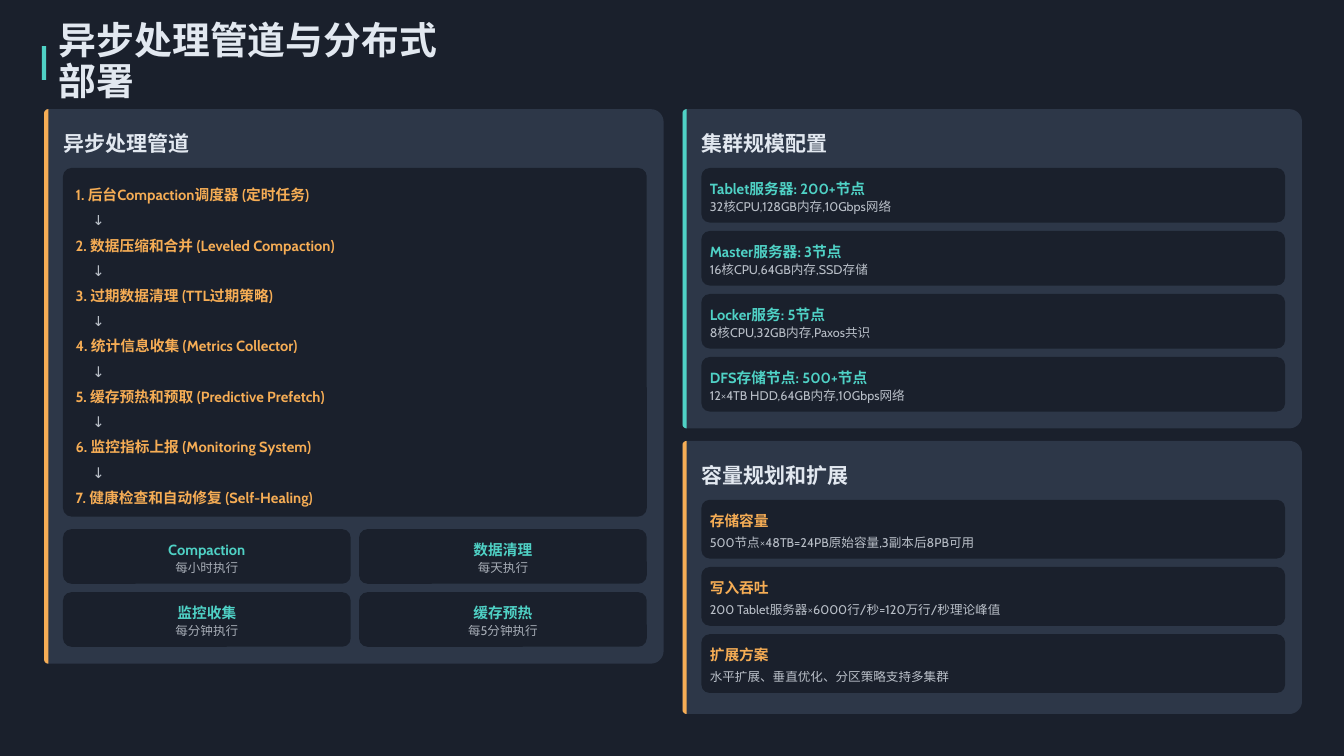
from math import cos, radians, sin

from lxml.etree import SubElement
from pptx import Presentation
from pptx.dml.color import RGBColor
from pptx.enum.shapes import MSO_SHAPE as SHAPE
from pptx.enum.text import MSO_ANCHOR as ANCHOR, MSO_AUTO_SIZE as AUTO, PP_ALIGN as ALIGN
from pptx.oxml.ns import qn
from pptx.util import Pt

STEPS = [
    "后台Compaction调度器 (定时任务)",
    "数据压缩和合并 (Leveled Compaction)",
    "过期数据清理 (TTL过期策略)",
    "统计信息收集 (Metrics Collector)",
    "缓存预热和预取 (Predictive Prefetch)",
    "监控指标上报 (Monitoring System)",
    "健康检查和自动修复 (Self-Healing)",
]
JOBS = [
    ("Compaction", "每小时执行"),
    ("数据清理", "每天执行"),
    ("监控收集", "每分钟执行"),
    ("缓存预热", "每5分钟执行"),
]
CLUSTER = [
    ("Tablet服务器: 200+节点", "32核CPU,128GB内存,10Gbps网络"),
    ("Master服务器: 3节点", "16核CPU,64GB内存,SSD存储"),
    ("Locker服务: 5节点", "8核CPU,32GB内存,Paxos共识"),
    ("DFS存储节点: 500+节点", "12×4TB HDD,64GB内存,10Gbps网络"),
]
CAPACITY = [
    ("存储容量", "500节点×48TB=24PB原始容量,3副本后8PB可用"),
    ("写入吞吐", "200 Tablet服务器×6000行/秒=120万行/秒理论峰值"),
    ("扩展方案", "水平扩展、垂直优化、分区策略支持多集群"),
]


def rgb(color):
    return RGBColor.from_string(color)


class Deck:
    """Style and current slide, with one method per kind of element."""

    DARK, PANEL, LIGHT = "1A202C", "2D3748", "E2E8F0"
    TEAL, ORANGE = "4FD1C5", "F6AD55"
    CJK, LATIN = "Noto Sans CJK SC", "Cabin"

    def __init__(self, prs):
        self.s = prs.slides.add_slide(prs.slide_layouts[1])
        self.shapes = self.s.shapes
        fill = self.s.background.fill
        fill.solid()
        fill.fore_color.rgb = rgb(self.DARK)

    def paint(self, sp, color):
        sp.shadow.inherit = False
        sp.fill.solid()
        sp.fill.fore_color.rgb = rgb(color)
        sp.line.fill.background()

    def place(self, sp, x, y, w, h):
        sp.left, sp.top, sp.width, sp.height = Pt(x), Pt(y), Pt(w), Pt(h)
        tf = sp.text_frame
        tf.word_wrap, tf.auto_size = True, AUTO.NONE
        tf.vertical_anchor = ANCHOR.MIDDLE
        tf.margin_left = tf.margin_right = tf.margin_top = tf.margin_bottom = 0
        return tf

    def run(self, p, text, size, color, font, bold=False, alpha=100):
        r = p.add_run()
        r.text = text
        r.font.size, r.font.bold, r.font.name = Pt(size), bold, font
        r.font.color.rgb = rgb(color)
        rpr = r.font._element
        SubElement(rpr, qn("a:ea")).set("typeface", self.CJK)
        if alpha < 100:
            clr = rpr.find(qn("a:solidFill")).find(qn("a:srgbClr"))
            SubElement(clr, qn("a:alpha")).set("val", str(alpha * 1000))

    def title(self, text):
        bar = self.shapes.add_shape(SHAPE.RECTANGLE, Pt(40), Pt(44), Pt(4), Pt(32))
        self.paint(bar, self.TEAL)
        p = self.place(self.shapes.title, 56, 40, 364, 40).paragraphs[0]
        p.alignment, p.line_spacing = ALIGN.LEFT, 0.9
        self.run(p, text, 36, self.LIGHT, self.CJK, bold=True)

    def text(self, text, x, y, w, h, size, color, font=LATIN, bold=False,
             alpha=100, align=ALIGN.LEFT, spacing=1.2):
        sp = self.shapes.add_textbox(0, 0, 0, 0)
        p = self.place(sp, x, y, w, h).paragraphs[0]
        p.alignment, p.line_spacing = align, spacing
        self.run(p, text, size, color, font, bold, alpha)

    def outline(self, x, y, w, h, left, right, color):
        corners = [(x + w - right, y + right, right, -90), (x + w - right, y + h - right, right, 0),
                   (x + left, y + h - left, left, 90), (x + left, y + left, left, 180)]
        points = [(Pt(cx + rad * cos(radians(start + step))), Pt(cy + rad * sin(radians(start + step))))
                  for cx, cy, rad, start in corners for step in range(0, 91, 10)]
        builder = self.shapes.build_freeform(*points[0], scale=1.0)
        builder.add_line_segments(points[1:], close=True)
        self.paint(builder.convert_to_shape(), color)

    def panel(self, heading, x, y, h, accent):
        self.outline(x, y, 590, h, 4, 12, self.PANEL)
        self.outline(x, y, 4, h, 4, 0, accent)
        self.text(heading, x + 18, y + 16, 566, 28, 20, self.LIGHT, self.CJK, bold=True)

    def box(self, x, y, w, h):
        sp = self.shapes.add_shape(SHAPE.ROUNDED_RECTANGLE, Pt(x), Pt(y), Pt(w), Pt(h))
        sp.adjustments[0] = 8 / min(w, h)
        self.paint(sp, self.DARK)

    def card(self, label, detail, x, y, w, h, accent, inset=8, align=ALIGN.LEFT, alpha=80):
        self.box(x, y, w, h)
        self.text(label, x + inset, y + 8, w - 9, 20, 14, accent, bold=True, align=align)
        self.text(detail, x + inset, y + h - 24, w - 9, 16, 12, self.LIGHT,
                  alpha=alpha, align=align, spacing=1.1)

    def steps(self, items, x, y, w, pitch):
        sp = self.s.placeholders[1]
        self.shapes._spTree.append(sp._element)
        tf = self.place(sp, x, y, w, pitch * (2 * len(items) - 1))
        for i in range(2 * len(items) - 1):
            p = tf.add_paragraph() if i else tf.paragraphs[0]
            ppr = p._p.get_or_add_pPr()
            ppr.set("marL", str(Pt(16 * (i % 2))))
            ppr.set("indent", "0")
            SubElement(ppr, qn("a:buNone"))
            p.line_spacing, p.space_before = Pt(pitch), Pt(0)
            if i % 2:
                self.run(p, "↓", 14, self.LIGHT, self.LATIN, alpha=80)
            else:
                n = i // 2
                self.run(p, f"{n + 1}. {items[n]}", 14, self.ORANGE, self.LATIN, bold=True)


def main():
    prs = Presentation()
    prs.slide_width, prs.slide_height = Pt(1280), Pt(720)
    d = Deck(prs)
    d.title("异步处理管道与分布式部署")

    d.panel("异步处理管道", 42, 104, 528, d.ORANGE)
    d.box(60, 160, 556, 332)
    d.steps(STEPS, 72, 170, 539, 24)
    for i, (label, detail) in enumerate(JOBS):
        d.card(label, detail, 60 + 282 * (i % 2), 504 + 60 * (i // 2), 274, 52,
               d.TEAL, inset=4.5, align=ALIGN.CENTER, alpha=70)

    for heading, y, h, card_h, accent, rows in [
        ("集群规模配置", 104, 304, 52, d.TEAL, CLUSTER),
        ("容量规划和扩展", 420, 260, 56, d.ORANGE, CAPACITY),
    ]:
        d.panel(heading, 650, y, h, accent)
        for i, (label, detail) in enumerate(rows):
            d.card(label, detail, 668, y + 56 + (card_h + 8) * i, 556, card_h, accent)

    prs.save("out.pptx")


if __name__ == "__main__":
    main()
